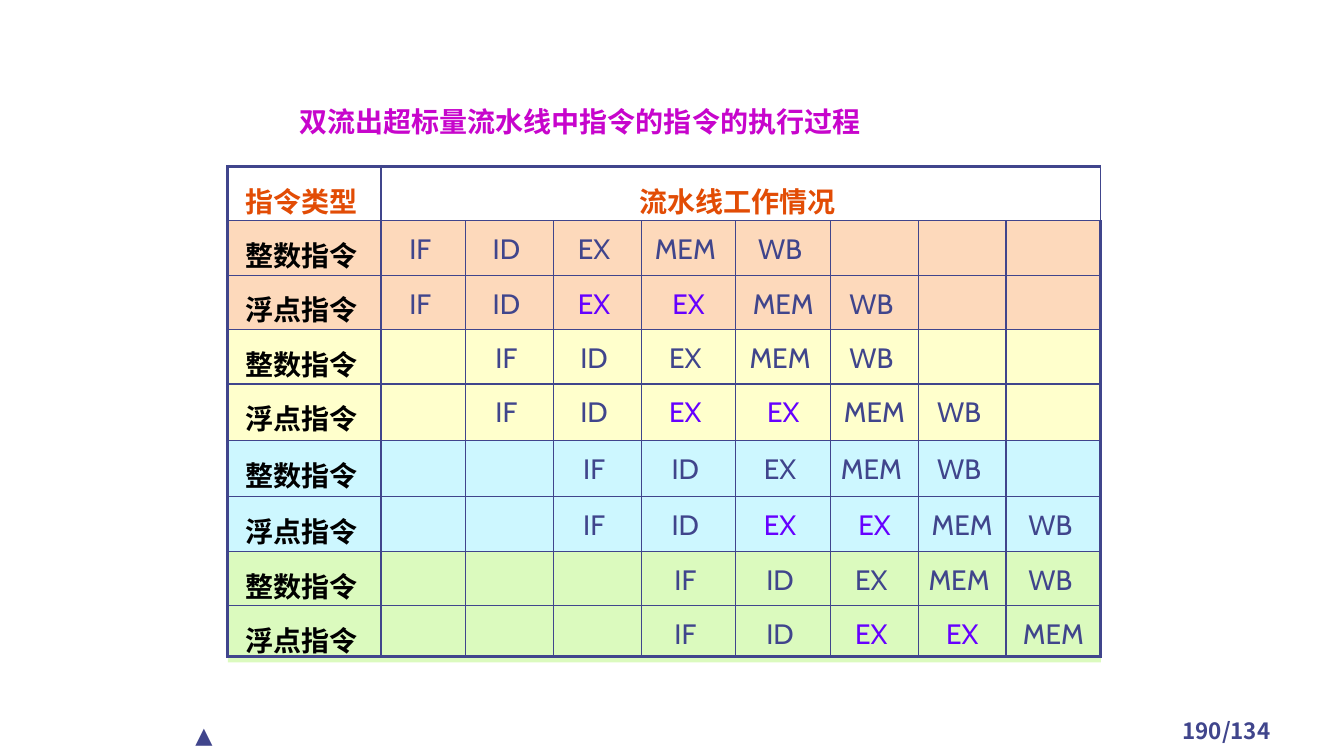
from itertools import accumulate

from pptx import Presentation
from pptx.dml.color import RGBColor
from pptx.enum.shapes import MSO_SHAPE as Preset
from pptx.enum.text import MSO_ANCHOR as Anchor, PP_ALIGN as Align
from pptx.oxml.ns import qn
from pptx.util import Inches, Pt
from lxml.etree import SubElement

COLORS = {
    "ink": "40458C", "title": "C705CC", "header": "E24C05",
    "label": "000000", "float_ex": "6600FF",
    "orange": "FDD9BB", "yellow": "FFFFCC", "cyan": "CDF7FF", "green": "DBFABE",
}
LATIN, CHINESE = "Cabin", "Noto Sans CJK SC"

# Table grid, in percent of the slide's width and height
TABLE_LEFT, TABLE_TOP = 16.95, 22
COLUMNS = [11.4, 6.3, 6.53, 6.53, 7.05, 7.05, 6.53, 6.53, 7.05]
ROWS = [7.2] * 4 + [7.47] * 2 + [7.2] * 2 + [6.67]
ROW_EDGES = list(accumulate(ROWS, initial=TABLE_TOP))

BANDS = ["orange", "yellow", "cyan", "green"]
# A trailing space nudges a centred entry to the left
PIPELINES = [
    ("整数指令 ", ["IF ", "ID ", "EX ", "MEM ", "WB "]),
    ("浮点指令 ", ["IF ", "ID ", "EX ", "EX", "MEM", "WB "]),
]


class SlideBuilder:
    """Places elements by percent of the slide's width and height."""

    def __init__(self, presentation):
        self.width = presentation.slide_width
        self.height = presentation.slide_height
        self.slide = presentation.slides.add_slide(presentation.slide_layouts[6])

    def x(self, percent):
        return round(self.width * percent / 100)

    def y(self, percent):
        return round(self.height * percent / 100)

    def box(self, left, top, width, height):
        return self.x(left), self.y(top), self.x(width), self.y(height)

    def style(self, paragraph, size, color, font=LATIN, bold=False, align=Align.LEFT):
        paragraph.alignment = align
        paragraph.font.size = Pt(size)
        paragraph.font.name = font
        paragraph.font.bold = bold
        paragraph.font.color.rgb = RGBColor.from_string(COLORS[color])

    def text(self, place, words, indent=0, **look):
        frame = self.slide.shapes.add_textbox(*self.box(*place)).text_frame
        frame.word_wrap = True
        frame.vertical_anchor = Anchor.MIDDLE
        paragraph = frame.paragraphs[0]
        paragraph.text = words
        if indent:
            properties = paragraph._p.get_or_add_pPr()
            properties.set("marL", str(self.x(indent)))
            properties.set("indent", "0")
        self.style(paragraph, **look)

    def band(self, place, color):
        shape = self.slide.shapes.add_shape(Preset.RECTANGLE, *self.box(*place))
        shape.shadow.inherit = False
        shape.fill.solid()
        shape.fill.fore_color.rgb = RGBColor.from_string(COLORS[color])
        shape.line.fill.background()

    def table(self, left, top, columns, rows):
        place = self.box(left, top, sum(columns), sum(rows))
        table = self.slide.shapes.add_table(len(rows), len(columns), *place).table
        table.first_row = table.horz_banding = False
        for column, width in zip(table.columns, columns):
            column.width = self.x(width)
        for row, height in zip(table.rows, rows):
            row.height = self.y(height)
        last_row, last_column = len(rows) - 1, len(columns) - 1
        for r in range(len(rows)):
            for c in range(len(columns)):
                outer = {"lnL": c == 0, "lnR": c == last_column,
                         "lnT": r == 0, "lnB": r == last_row}
                self.borders(table.cell(r, c), outer)
        return table

    def borders(self, cell, outer):
        properties = cell._tc.get_or_add_tcPr()
        for side, thick in outer.items():
            line = SubElement(properties, qn(f"a:{side}"), w=str(Pt(2.25 if thick else 1)))
            fill = SubElement(line, qn("a:solidFill"))
            SubElement(fill, qn("a:srgbClr"), val=COLORS["ink"])
        cell.fill.background()

    def entry(self, cell, words, color, **look):
        paragraph = cell.text_frame.paragraphs[0]
        paragraph.text = words
        paragraph.line_spacing = 1.2
        self.style(paragraph, 20, color, align=Align.CENTER, **look)


def main():
    presentation = Presentation()
    presentation.slide_width, presentation.slide_height = Inches(13.33), Inches(7.5)
    builder = SlideBuilder(presentation)

    # Footer
    builder.text((84.17, 94.4, 14.18, 4.4), "190/134", size=16, color="ink",
                 font=CHINESE, bold=True, align=Align.CENTER)
    builder.text((13.8, 94.67, 14.18, 4.93), "▲", size=16, color="ink")

    # Coloured band behind each pair of instructions
    for pair, color in enumerate(BANDS):
        top = ROW_EDGES[1 + 2 * pair]
        builder.band((TABLE_LEFT, top, sum(COLUMNS), 14.67), color)

    # Pipeline table: each pair starts one cycle after the previous one
    table = builder.table(TABLE_LEFT, TABLE_TOP, COLUMNS, ROWS)
    table.cell(0, 1).merge(table.cell(0, len(COLUMNS) - 1))
    for column, heading in enumerate(["指令类型 ", "流水线工作情况 "]):
        builder.entry(table.cell(0, column), heading, "header", font=CHINESE, bold=True)
    for pair in range(len(BANDS)):
        for offset, (label, stages) in enumerate(PIPELINES):
            row = 1 + 2 * pair + offset
            builder.entry(table.cell(row, 0), label, "label", font=CHINESE, bold=True)
            for column, stage in zip(range(1 + pair, len(COLUMNS)), stages):
                is_float_ex = offset == 1 and stage.strip() == "EX"
                builder.entry(table.cell(row, column), stage,
                              "float_ex" if is_float_ex else "ink")

    # Title
    builder.text((16.35, 13.07, 69.09, 5.87), "双流出超标量流水线中指令的指令的执行过程",
                 indent=5.18, size=20, color="title", bold=True)

    presentation.save("out.pptx")


if __name__ == "__main__":
    main()
